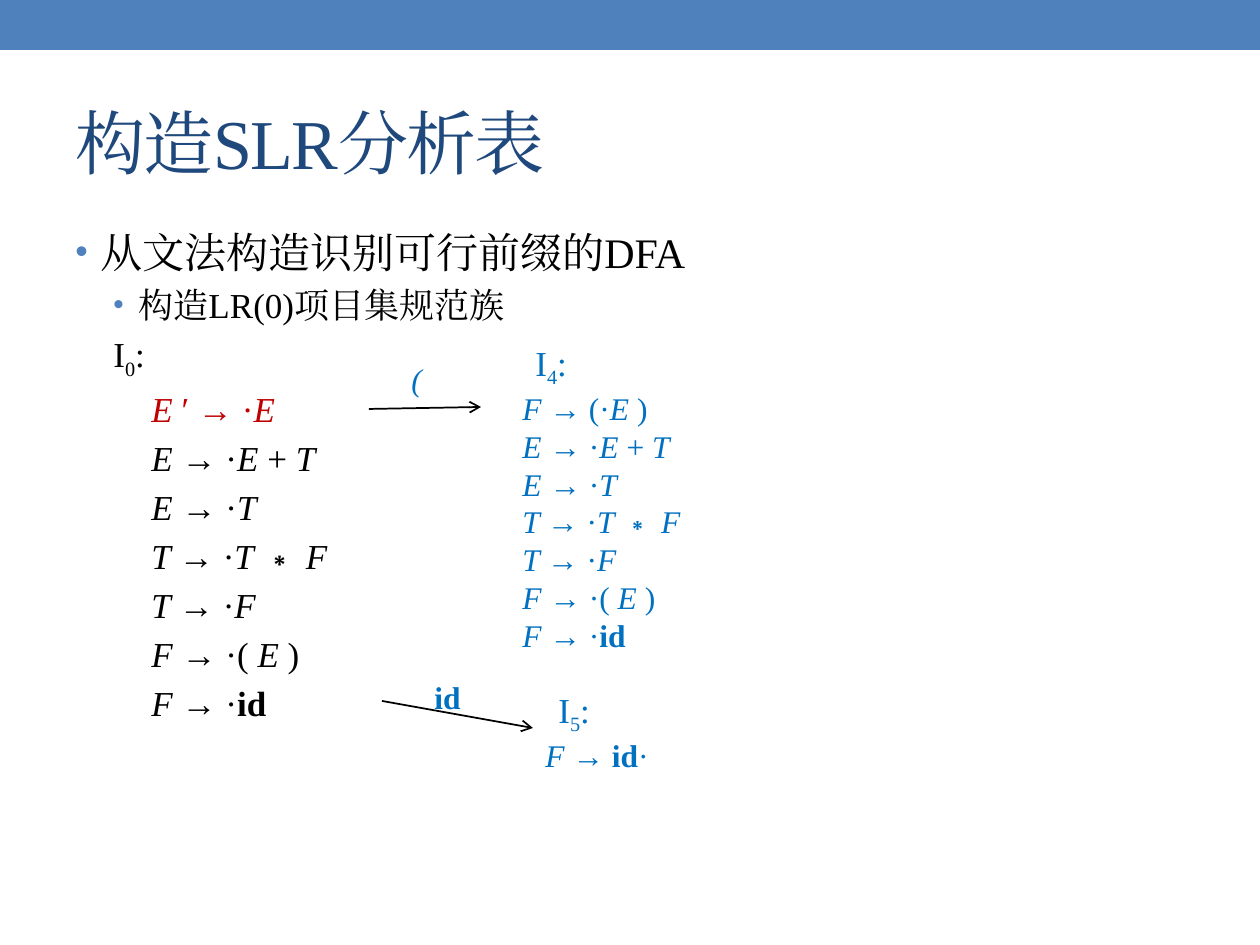
import pptx
import pptx.util
import pptx.dml.color
import pptx.enum.shapes
import pptx.enum.text
import pptx.oxml.ns
import lxml.etree

RGB = pptx.dml.color.RGBColor
BAND = RGB(0x4F, 0x81, 0xBD)
NAVY = RGB(0x1F, 0x49, 0x7D)
BLACK = RGB(0, 0, 0)
RED = RGB(0xC0, 0, 0)
BLUE = RGB(0x00, 0x70, 0xC0)
FONT = "Times New Roman"
PX = 914400 // 126


def add_xml(parent, tag, **attributes):
    return lxml.etree.SubElement(parent, pptx.oxml.ns.qn(tag), attributes)


class Deck:
    def __init__(self, width, height):
        self.file = pptx.Presentation()
        self.file.slide_width = width * PX
        self.file.slide_height = height * PX
        self.slide = self.file.slides.add_slide(self.file.slide_layouts[6])

    def band(self, x, y, w, h, color):
        shape = self.slide.shapes.add_shape(
            pptx.enum.shapes.MSO_SHAPE.RECTANGLE, x * PX, y * PX, w * PX, h * PX)
        shape.shadow.inherit = False
        shape.fill.solid()
        shape.fill.fore_color.rgb = color
        shape.line.fill.background()

    def box(self, x, y, w, h, middle=False, grow=False):
        frame = self.slide.shapes.add_textbox(x * PX, y * PX, w * PX, h * PX).text_frame
        frame.word_wrap = True
        if middle:
            frame.vertical_anchor = pptx.enum.text.MSO_ANCHOR.MIDDLE
        if grow:
            frame.auto_size = pptx.enum.text.MSO_AUTO_SIZE.SHAPE_TO_FIT_TEXT
        return frame

    def line(self, frame, runs, size, color, indent=0, before=0, bullet=False, spacing=0):
        first = frame.paragraphs[0]
        paragraph = frame.add_paragraph() if first.runs else first
        paragraph.space_before = pptx.util.Pt(before)
        properties = paragraph._p.get_or_add_pPr()
        properties.set("marL", str(indent * PX))
        properties.set("indent", str(-25 * PX if bullet else 0))
        if bullet:
            add_xml(add_xml(properties, "a:buClr"), "a:srgbClr", val=str(BAND))
            add_xml(properties, "a:buSzPct", val="85000")
            add_xml(properties, "a:buFont", typeface="Arial")
            add_xml(properties, "a:buChar", char="•")
        for text, style in runs:
            run = paragraph.add_run()
            run.text = text
            run.font.name = FONT
            run.font.size = pptx.util.Pt(size)
            run.font.color.rgb = color
            run.font.italic = style == "italic"
            run.font.bold = style == "bold"
            details = run._r.get_or_add_rPr()
            add_xml(details, "a:ea", typeface=FONT)
            if style == "sub":
                details.set("baseline", "-25000")
            if spacing:
                details.set("spc", str(spacing * 100))

    def arrow(self, x1, y1, x2, y2):
        connector = self.slide.shapes.add_connector(
            pptx.enum.shapes.MSO_CONNECTOR.STRAIGHT, x1 * PX, y1 * PX, x2 * PX, y2 * PX)
        connector.line.color.rgb = BLACK
        connector.line.width = pptx.util.Pt(1)
        add_xml(connector.line._get_or_add_ln(), "a:tailEnd", type="arrow")
        add_xml(connector._element.spPr, "a:effectLst")


def plain(text):
    return [(text, "")]


def state(number):
    return [("I", ""), (number, "sub"), (":", "")]


def item(head, *body):
    return [(head + " ", "italic"), *body]


E_START = item("E", ("′ → ·", ""), ("E", "italic"))
F_OPEN = item("F", ("→ (·", ""), ("E ", "italic"), (")", ""))
F_DONE = item("F", ("→ ", ""), ("id", "bold"), ("·", ""))
CLOSURE = [
    item("E", ("→ ·", ""), ("E ", "italic"), ("+ ", ""), ("T ", "italic")),
    item("E", ("→ ·", ""), ("T", "italic")),
    item("T", ("→ ·", ""), ("T ", "italic"), ("∗", ""), (" F", "italic")),
    item("T", ("→ ·", ""), ("F", "italic")),
    item("F", ("→ ·( ", ""), ("E ", "italic"), (")", "")),
    item("F", ("→ ·", ""), ("id", "bold")),
]

deck = Deck(1260, 945)
deck.band(0, 0, 1260, 50, BAND)

title = deck.box(63, 73, 1134, 136, middle=True)
deck.line(title, plain("构造SLR分析表"), 40, NAVY, spacing=-1)

body = deck.box(63, 220, 1134, 672)
deck.line(body, plain("从文法构造识别可行前缀的DFA"), 24, BLACK, 25, 5, bullet=True)
deck.line(body, plain("构造LR(0)项目集规范族"), 20, BLACK, 63, 4, bullet=True)
deck.line(body, state("0"), 20, BLACK, 38, 4)
deck.line(body, E_START, 20, RED, 76, 4)
for production in CLOSURE:
    deck.line(body, production, 20, BLACK, 76, 4)

transitions = [
    ((369, 409, 481, 407), (399, 354), ("(", "italic"),
     (510, 335, 358, 323), "4", [F_OPEN, *CLOSURE]),
    ((382, 701, 533, 728), (422, 672), ("id", "bold"),
     (533, 682, 358, 93), "5", [F_DONE]),
]
for ends, label_at, symbol, area, number, productions in transitions:
    deck.arrow(*ends)
    label = deck.box(*label_at, 58, 50, grow=True)
    deck.line(label, [symbol], 18, BLUE)
    target = deck.box(*area, grow=True)
    deck.line(target, state(number), 20, BLUE, 13)
    for production in productions:
        deck.line(target, production, 18, BLUE)

deck.file.save("out.pptx")
